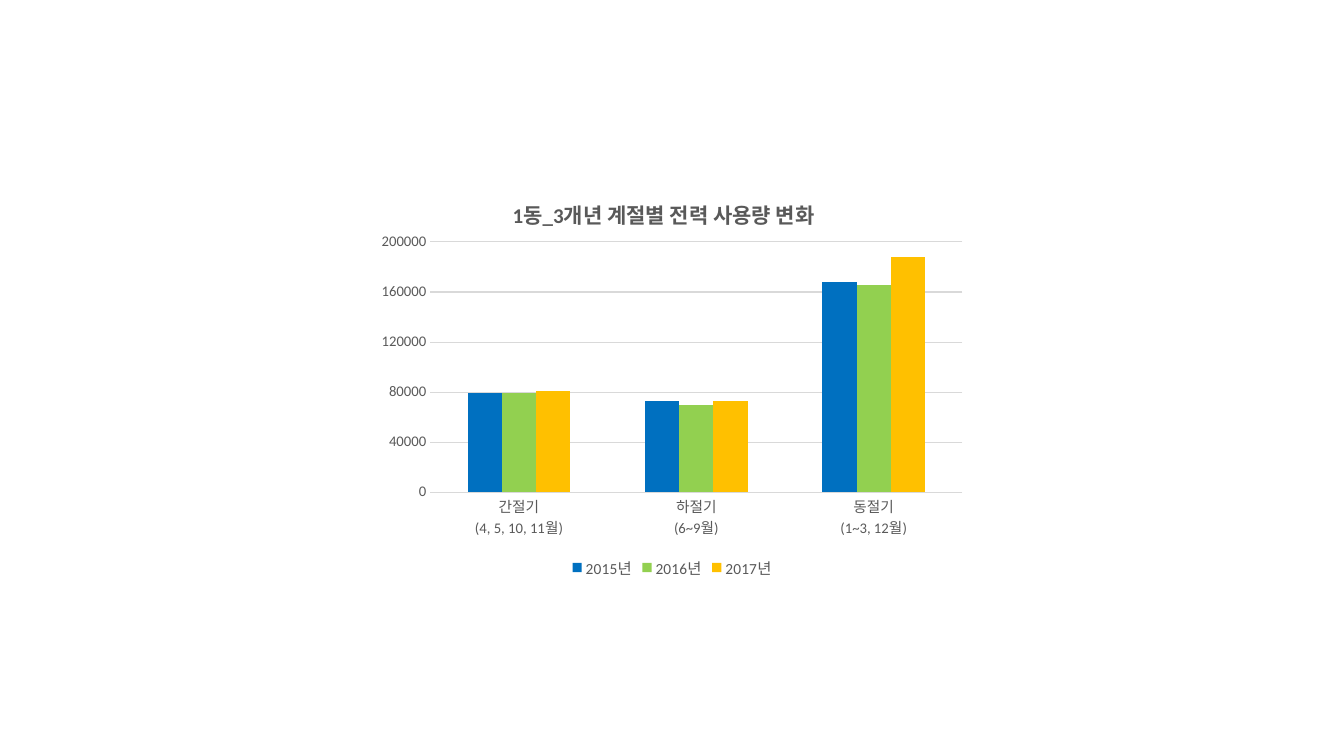
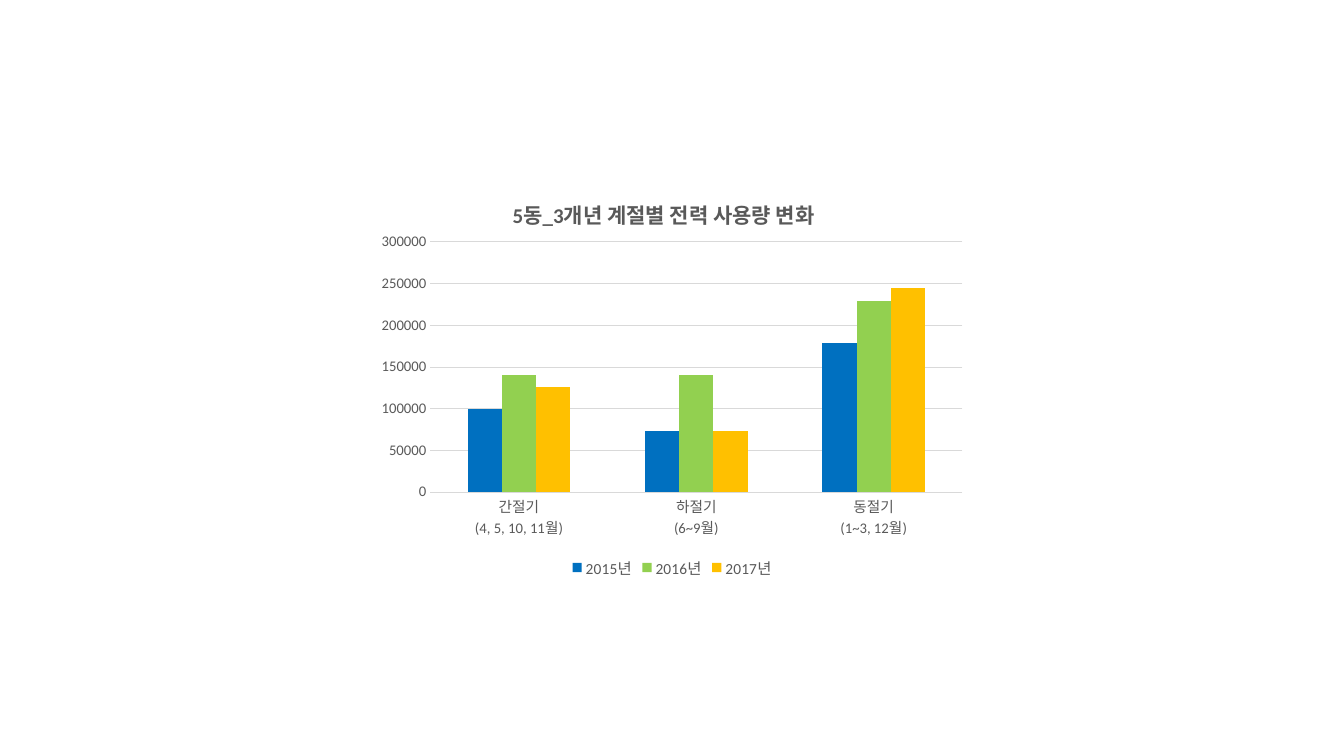
from dataclasses import dataclass

from lxml import etree
from pptx import Presentation
from pptx.chart.data import CategoryChartData
from pptx.dml.color import RGBColor
from pptx.enum.chart import XL_CHART_TYPE, XL_LEGEND_POSITION, XL_TICK_MARK
from pptx.oxml.ns import qn
from pptx.util import Cm, Pt

COLUMNS = XL_CHART_TYPE.COLUMN_CLUSTERED
LEGEND_BOTTOM = XL_LEGEND_POSITION.BOTTOM
NO_TICK = XL_TICK_MARK.NONE
BLANK_LAYOUT = 6


@dataclass(frozen=True)
class Theme:
    font: str = "Calibri"
    text: RGBColor = RGBColor(0x59, 0x59, 0x59)
    rule: RGBColor = RGBColor(0xD9, 0xD9, 0xD9)
    series: tuple = (
        RGBColor(0x00, 0x70, 0xC0),
        RGBColor(0x92, 0xD0, 0x50),
        RGBColor(0xFF, 0xC0, 0x00),
    )
    title_size: float = 15
    axis_size: float = 10.5
    legend_size: float = 11
    base_size: float = 10
    rule_width: float = 0.75


THEME = Theme()
SEASONS = ("간절기\n(4, 5, 10, 11월)", "하절기\n(6~9월)", "동절기\n(1~3, 12월)")
YEARS = ("2015년", "2016년", "2017년")
BUILDINGS = (
    ("1동", 200000, 40000,
     ((79000, 73000, 168000), (79000, 70000, 166000), (81000, 73000, 188000))),
    ("5동", 300000, 50000,
     ((100000, 73000, 179000), (141000, 140000, 229000), (126000, 73000, 245000))),
)


def style_font(font, size, bold=False):
    font.name = THEME.font
    font.size = Pt(size)
    font.bold = bold
    font.color.rgb = THEME.text


def style_rule(line):
    line.color.rgb = THEME.rule
    line.width = Pt(THEME.rule_width)


def place(element, index, **values):
    for old in element.findall(qn("c:layout")):
        element.remove(old)
    layout = etree.Element(qn("c:layout"))
    manual = etree.SubElement(layout, qn("c:manualLayout"))
    for tag, value in values.items():
        etree.SubElement(manual, qn(f"c:{tag}")).set("val", str(value))
    element.insert(index, layout)


def style_title(chart, text):
    chart.has_title = True
    title = chart.chart_title
    title.text_frame.text = text
    for r in title.text_frame.paragraphs[0].runs:
        style_font(r.font, THEME.title_size, bold=True)
    place(title._element, 1, xMode="edge", yMode="edge", x=0.23, y=0.05)


def style_axes(chart, maximum, step):
    for axis in (chart.category_axis, chart.value_axis):
        axis.major_tick_mark = axis.minor_tick_mark = NO_TICK
        style_font(axis.tick_labels.font, THEME.axis_size)
    style_rule(chart.category_axis.format.line)
    value_axis = chart.value_axis
    value_axis.minimum_scale = 0
    value_axis.maximum_scale = maximum
    value_axis.major_unit = step
    value_axis.format.line.fill.background()
    value_axis.has_major_gridlines = True
    style_rule(value_axis.major_gridlines.format.line)


def style_columns(chart):
    plot = chart.plots[0]
    plot.gap_width = 219
    plot.overlap = 0
    plot.vary_by_categories = False
    for series, color in zip(plot.series, THEME.series):
        series.format.fill.solid()
        series.format.fill.fore_color.rgb = color
    place(chart._chartSpace.chart.plotArea, 0, layoutTarget="inner",
          xMode="edge", yMode="edge", x=0.1, y=0.17, w=0.88, h=0.61)


def style_legend(chart):
    chart.has_legend = True
    chart.legend.position = LEGEND_BOTTOM
    chart.legend.include_in_layout = False
    style_font(chart.legend.font, THEME.legend_size)


def add_usage_chart(s, building, maximum, step, usage):
    data = CategoryChartData()
    data.categories = SEASONS
    for year, values in zip(YEARS, usage):
        data.add_series(year, values)
    frame = s.shapes.add_chart(COLUMNS, Cm(9.32), Cm(4.34), Cm(15.24), Cm(10.34), data)
    chart = frame.chart
    chart.font.name = THEME.font
    chart.font.size = Pt(THEME.base_size)
    style_title(chart, f"{building}_3개년 계절별 전력 사용량 변화")
    style_axes(chart, maximum, step)
    style_columns(chart)
    style_legend(chart)


def main():
    prs = Presentation()
    prs.slide_width, prs.slide_height = Cm(33.87), Cm(19.05)
    for building in BUILDINGS:
        s = prs.slides.add_slide(prs.slide_layouts[BLANK_LAYOUT])
        add_usage_chart(s, *building)
    prs.save("out.pptx")


if __name__ == "__main__":
    main()
